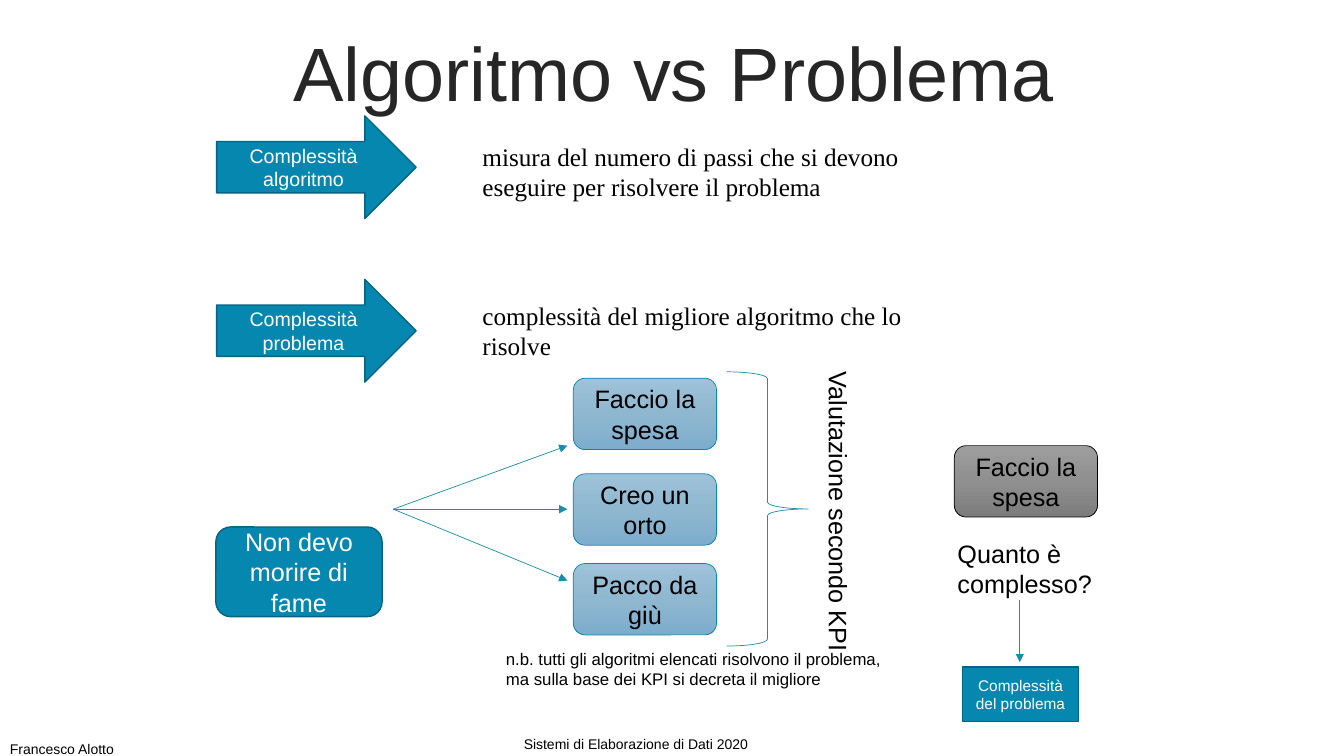
import copy

import lxml.etree
import pptx
import pptx.dml.color
import pptx.enum.shapes
import pptx.enum.text
import pptx.oxml.ns
import pptx.util

Cm, Pt = pptx.util.Cm, pptx.util.Pt
MSO = pptx.enum.shapes.MSO_SHAPE
ALIGN = pptx.enum.text.PP_ALIGN
ANCHOR = pptx.enum.text.MSO_ANCHOR
qn = pptx.oxml.ns.qn

TEAL, TEAL_DARK, LINE = "0587AF", "046481", "1A8EA9"
BLACK, WHITE = "000000", "FFFFFF"
BLUES = ("9DC2DA", "90B7D0", "7CADCC")
GREYS = ("9D9D9D", "909090", "7C7C7C")

# Lengths in cm: left, top, width, height
TITLE = ("Algoritmo vs Problema", (0.89, 0.94, 32.16, 2.01))
DEFINITIONS = [
    # arrow label, arrow top, definition, definition top
    ("Complessità algoritmo", 2.92,
     "misura del numero di passi che si devono eseguire per risolvere il problema", 3.43),
    ("Complessità problema", 7.04,
     "complessità del migliore algoritmo che lo risolve", 7.44),
]
PROBLEM = ("Non devo morire di fame", (5.44, 13.28, 4.19, 2.26))
SOLUTIONS = [
    # label, box top, height of the arrow tip
    ("Faccio la spesa", 9.53, 11.23),
    ("Creo un orto", 11.94, 12.83),
    ("Pacco da giù", 14.2, 14.63),
]
SOLUTION_LEFT, SOLUTION_SIZE = 14.45, (3.61, 1.8)
FAN_START, FAN_END_X = (9.91, 12.83), 14.3
BRACE = (18.31, 9.37, 2.06, 6.91)
EVALUATION = ("Valutazione secondo KPI", (20.35, 9.12, 1.3, 7.37))
BEST = ("Faccio la spesa", (24.05, 11.23, *SOLUTION_SIZE))
QUESTION_ARROW = ((25.7, 15.11), (25.7, 16.69))
ANSWER = ("Complessità del problema", (24.26, 16.81, 2.92, 1.37))
TEXTS = [
    ("Quanto è complesso?", (23.88, 13.44, 4.42, 1.8), 18),
    ("n.b. tutti gli algoritmi elencati risolvono il problema, "
     "ma sulla base dei KPI si decreta il migliore", (12.5, 16.23, 10.59, 1.3), 12),
    ("Sistemi di Elaborazione di Dati 2020", (12.95, 18.42, 6.76, 0.69), 10),
    ("Francesco Alotto", (0, 18.54, 6.76, 0.69), 10),
]


def rgb(value):
    return pptx.dml.color.RGBColor.from_string(value)


def set_attrs(obj, values):
    for name, value in values.items():
        setattr(obj, name, value)


def write(sp, text, size, color=BLACK, font="Arial", frame=None, para=None):
    tf = sp.text_frame
    set_attrs(tf, {"word_wrap": True, **(frame or {})})
    p = tf.paragraphs[0]
    set_attrs(p, para or {})
    r = p.add_run()
    r.text = text
    set_attrs(r.font, {"size": Pt(size), "name": font})
    r.font.color.rgb = rgb(color)


def add_text(s, text, box, size, **style):
    sp = s.shapes.add_textbox(*map(Cm, box))
    write(sp, text, size, **style)
    return sp


def fill_gradient(fill, colors):
    """Fill from top to bottom with evenly spaced colours."""
    fill.gradient()
    fill.gradient_angle = 270
    first = fill.gradient_stops[0]._gs
    first.addnext(copy.deepcopy(first))
    for i, (stop, color) in enumerate(zip(fill.gradient_stops, colors)):
        stop.position = i / (len(colors) - 1)
        stop.color.rgb = rgb(color)


def add_shape(s, kind, box, fill, line, width, text=None, size=18, color=WHITE):
    sp = s.shapes.add_shape(kind, *map(Cm, box))
    sp.shadow.inherit = False
    if fill is None:
        sp.fill.background()
    elif isinstance(fill, tuple):
        fill_gradient(sp.fill, fill)
    else:
        sp.fill.solid()
        sp.fill.fore_color.rgb = rgb(fill)
    sp.line.color.rgb = rgb(line)
    sp.line.width = Pt(width)
    if text:
        write(sp, text, size, color, frame={"vertical_anchor": ANCHOR.MIDDLE},
              para={"alignment": ALIGN.CENTER})


def add_arrow(s, start, end):
    c = s.shapes.add_connector(pptx.enum.shapes.MSO_CONNECTOR.STRAIGHT,
                               *map(Cm, (*start, *end)))
    c.line.color.rgb = rgb(LINE)
    c.line.width = Pt(0.5)
    spPr = c._element.spPr
    lxml.etree.SubElement(spPr.find(qn("a:ln")), qn("a:tailEnd"), type="triangle")
    lxml.etree.SubElement(spPr, qn("a:effectLst"))


def main():
    prs = pptx.Presentation()
    prs.slide_width, prs.slide_height = Cm(33.87), Cm(19.05)
    s = prs.slides.add_slide(prs.slide_layouts[6])

    add_text(s, *TITLE, 54, color="262626", frame={"vertical_anchor": ANCHOR.MIDDLE},
             para={"alignment": ALIGN.CENTER, "line_spacing": 0.9})
    for label, arrow_top, definition, text_top in DEFINITIONS:
        add_shape(s, MSO.RIGHT_ARROW, (5.46, arrow_top, 5.03, 2.59),
                  TEAL, TEAL_DARK, 1, label, 14)
        add_text(s, definition, (11.91, text_top, 12.7, 1.8), 18, font="Times New Roman")

    label, box = PROBLEM
    add_shape(s, MSO.ROUNDED_RECTANGLE, box, TEAL, TEAL_DARK, 1, label)
    for label, top, tip in SOLUTIONS:
        add_arrow(s, FAN_START, (FAN_END_X, tip))
        add_shape(s, MSO.ROUNDED_RECTANGLE, (SOLUTION_LEFT, top, *SOLUTION_SIZE),
                  BLUES, TEAL, 0.5, label, color=BLACK)

    add_shape(s, MSO.RIGHT_BRACE, BRACE, None, LINE, 0.5)
    sp = add_text(s, *EVALUATION, 18, frame={"word_wrap": False})
    sp.text_frame._txBody.find(qn("a:bodyPr")).set("vert", "eaVert")

    label, box = BEST
    add_shape(s, MSO.ROUNDED_RECTANGLE, box, GREYS, BLACK, 0.5, label, color=BLACK)
    add_arrow(s, *QUESTION_ARROW)
    label, box = ANSWER
    add_shape(s, MSO.RECTANGLE, box, TEAL, TEAL_DARK, 1, label, 11)
    for text, box, size in TEXTS:
        add_text(s, text, box, size)

    prs.save("out.pptx")


if __name__ == "__main__":
    main()
